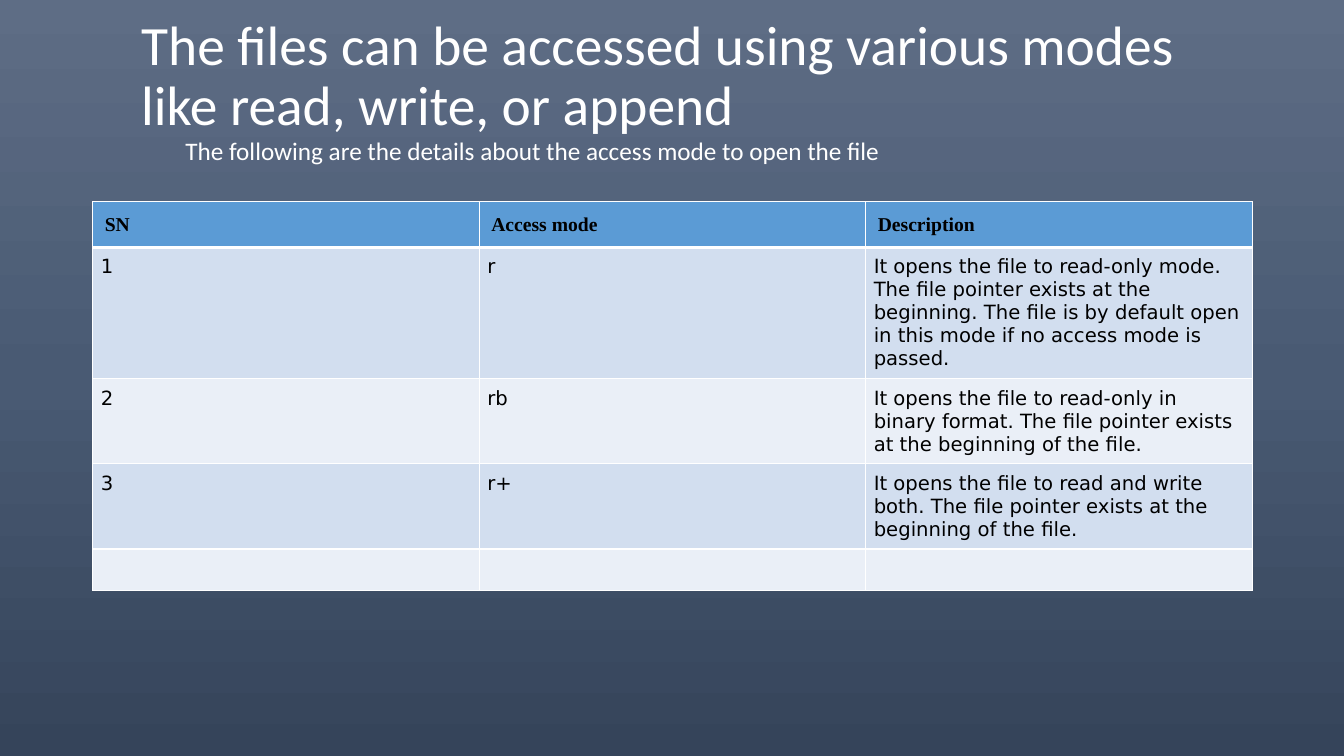
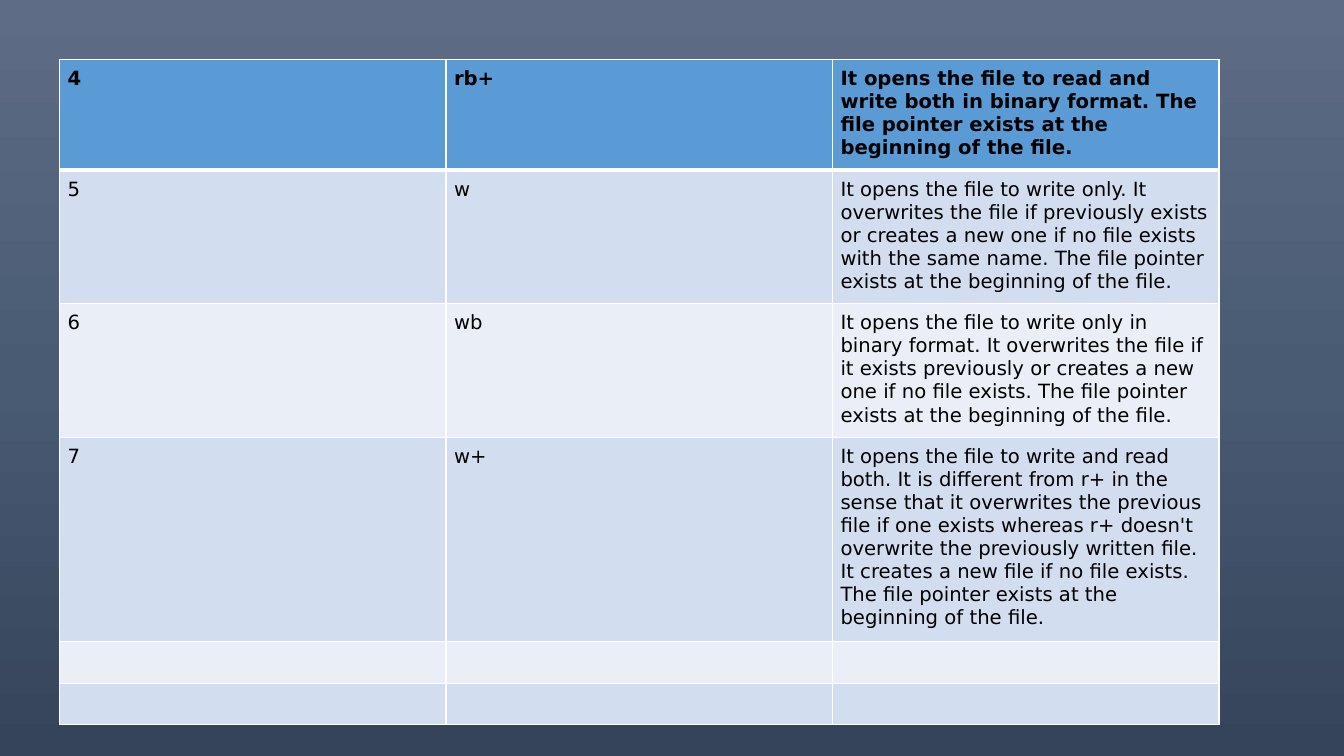
from copy import deepcopy
from dataclasses import dataclass

from lxml import etree
from pptx import Presentation
from pptx.dml.color import RGBColor
from pptx.enum.text import MSO_ANCHOR, MSO_AUTO_SIZE, PP_ALIGN
from pptx.oxml.ns import qn
from pptx.util import Inches, Pt

LEFT = PP_ALIGN.LEFT
TOP, MIDDLE = MSO_ANCHOR.TOP, MSO_ANCHOR.MIDDLE
NO_AUTOFIT = MSO_AUTO_SIZE.NONE
TITLE_ONLY, BLANK = 5, 6


@dataclass(frozen=True)
class Theme:
    backdrop: tuple = ((0, "5E6D85"), (0.5, "495A73"), (1, "35445A"))
    light: str = "FFFFFF"
    dark: str = "000000"
    header: str = "5B9BD5"
    bands: tuple = ("D2DEEF", "EAEFF7")
    heading_font: str = "Calibri"
    body_font: str = "DejaVu Sans"
    label_font: str = "Times New Roman"
    title_size: float = 39.6
    note_size: float = 18
    cell_size: float = 14
    thin: float = 1
    thick: float = 3


def write(frame, text, *, font, size, color, bold=False, spacing=None):
    """Put one formatted paragraph into a text frame."""
    frame.word_wrap = True
    paragraph = frame.paragraphs[0]
    paragraph.text = text
    paragraph.alignment = LEFT
    if spacing:
        paragraph.line_spacing = spacing
    style = paragraph.font
    style.name, style.size, style.bold = font, Pt(size), bold
    style.color.rgb = RGBColor.from_string(color)


class Deck:
    def __init__(self, theme):
        self.theme = theme
        self.prs = Presentation()
        self.prs.slide_width, self.prs.slide_height = Inches(13.33), Inches(7.5)
        self.slide = None
        self.paint_backdrop()

    def paint_backdrop(self):
        """Give the master the gradient that all slides share."""
        master = self.prs.slide_master
        fill = master.background.fill
        fill.gradient()
        fill.gradient_angle = 270
        stops = master.element.xpath(".//p:bg//a:gsLst")[0]
        stops.insert(1, deepcopy(stops[0]))
        for stop, (position, color) in zip(fill.gradient_stops, self.theme.backdrop):
            stop.position = position
            stop.color.rgb = RGBColor.from_string(color)

    def new_slide(self, layout):
        self.slide = self.prs.slides.add_slide(self.prs.slide_layouts[layout])

    def title(self, text, left, top, width, height):
        heading = self.slide.shapes.title
        heading.left, heading.top = Inches(left), Inches(top)
        heading.width, heading.height = Inches(width), Inches(height)
        frame = heading.text_frame
        frame.auto_size, frame.vertical_anchor = NO_AUTOFIT, MIDDLE
        write(frame, text, font=self.theme.heading_font, size=self.theme.title_size,
              color=self.theme.light, spacing=0.9)

    def note(self, text, left, top, width, height):
        box = self.slide.shapes.add_textbox(
            Inches(left), Inches(top), Inches(width), Inches(height))
        write(box.text_frame, text, font=self.theme.heading_font,
              size=self.theme.note_size, color=self.theme.light)

    def border(self, cell, top, bottom):
        """Outline a cell; the line elements come before its fill."""
        widths = {"a:lnL": self.theme.thin, "a:lnR": self.theme.thin,
                  "a:lnT": top, "a:lnB": bottom}
        properties = cell._tc.get_or_add_tcPr()
        for place, (tag, width) in enumerate(widths.items()):
            line = etree.Element(qn(tag), w=str(Pt(width)))
            solid = etree.SubElement(line, qn("a:solidFill"))
            etree.SubElement(solid, qn("a:srgbClr"), val=self.theme.light)
            properties.insert(place, line)

    def table(self, rows, left, top, *, header_font, header_inset):
        theme = self.theme
        row_height = 0.41
        table = self.slide.shapes.add_table(
            len(rows), len(rows[0]), Inches(left), Inches(top),
            Inches(11.5), Inches(row_height * len(rows))).table
        for r, row in enumerate(rows):
            is_header = r == 0
            color = theme.header if is_header else theme.bands[(r - 1) % 2]
            inset = Inches(header_inset if is_header else 0.08)
            for c, text in enumerate(row):
                cell = table.cell(r, c)
                cell.fill.solid()
                cell.fill.fore_color.rgb = RGBColor.from_string(color)
                self.border(cell, theme.thick if r == 1 else theme.thin,
                            theme.thick if is_header else theme.thin)
                if not text:
                    continue
                cell.margin_left = cell.margin_right = inset
                cell.margin_top = cell.margin_bottom = inset
                cell.vertical_anchor = TOP
                write(cell.text_frame, text,
                      font=header_font if is_header else theme.body_font,
                      size=theme.cell_size, color=theme.dark, bold=is_header)


EMPTY_ROW = ("", "", "")

READ_MODES = [
    ("SN", "Access mode", "Description"),
    ("1", "r", "It opens the file to read-only mode. The file pointer exists at the "
     "beginning. The file is by default open in this mode if no access mode is passed."),
    ("2", "rb", "It opens the file to read-only in binary format. The file pointer "
     "exists at the beginning of the file."),
    ("3", "r+", "It opens the file to read and write both. The file pointer exists at "
     "the beginning of the file."),
    EMPTY_ROW,
]

WRITE_MODES = [
    ("4", "rb+", "It opens the file to read and write both in binary format. The file "
     "pointer exists at the beginning of the file."),
    ("5", "w", "It opens the file to write only. It overwrites the file if previously "
     "exists or creates a new one if no file exists with the same name. The file "
     "pointer exists at the beginning of the file."),
    ("6", "wb", "It opens the file to write only in binary format. It overwrites the "
     "file if it exists previously or creates a new one if no file exists. The file "
     "pointer exists at the beginning of the file."),
    ("7", "w+", "It opens the file to write and read both. It is different from r+ in "
     "the sense that it overwrites the previous file if one exists whereas r+ doesn't "
     "overwrite the previously written file. It creates a new file if no file exists. "
     "The file pointer exists at the beginning of the file."),
    EMPTY_ROW,
    EMPTY_ROW,
]


def main():
    theme = Theme()
    deck = Deck(theme)

    # Slide 1: title, lead-in and reading modes
    deck.new_slide(TITLE_ONLY)
    deck.title("The files can be accessed using various modes like read, write, or append",
               1.3, 0.12, 10.98, 1.3)
    deck.table(READ_MODES, 0.92, 2, header_font=theme.label_font, header_inset=0.12)
    deck.note("The following are the details about the access mode to open the file",
              1.74, 1.29, 7.17, 0.4)

    # Slide 2: the table continues with the writing modes
    deck.new_slide(BLANK)
    deck.table(WRITE_MODES, 0.59, 0.59, header_font=theme.body_font, header_inset=0.08)

    deck.prs.save("out.pptx")


if __name__ == "__main__":
    main()
